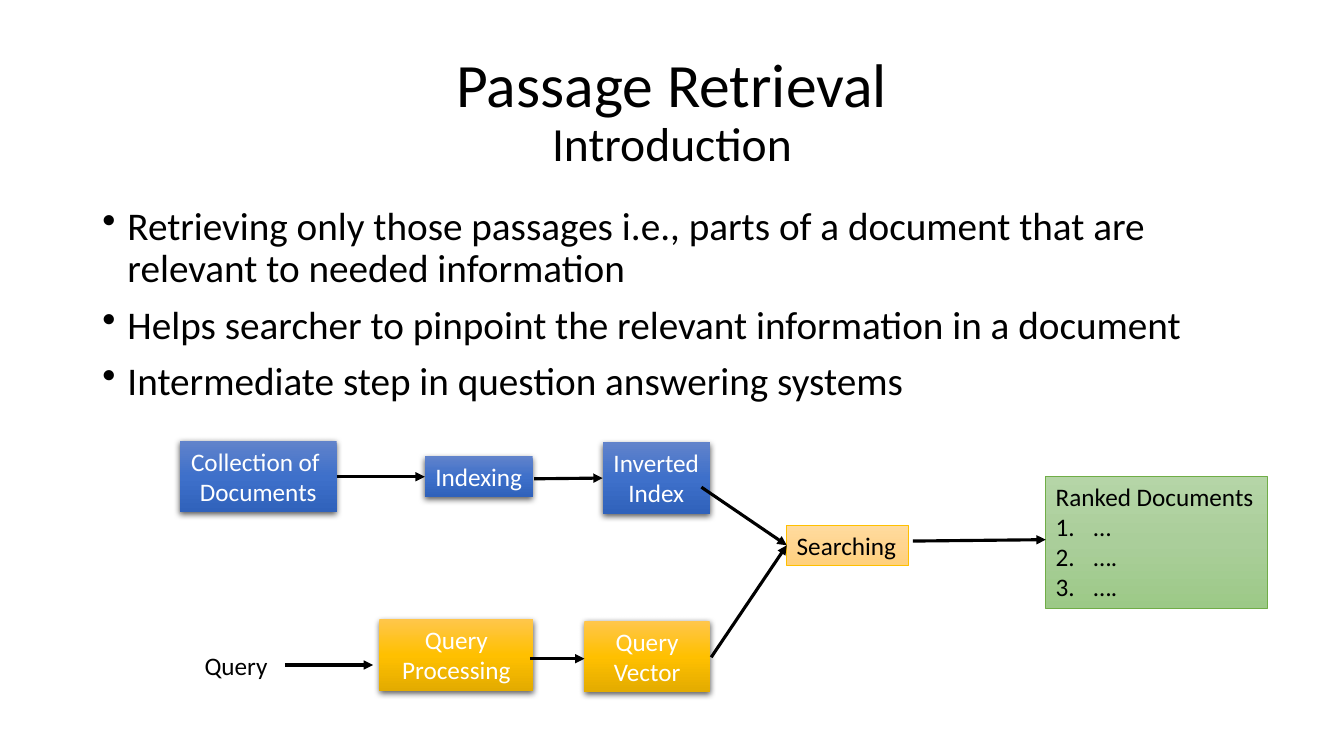
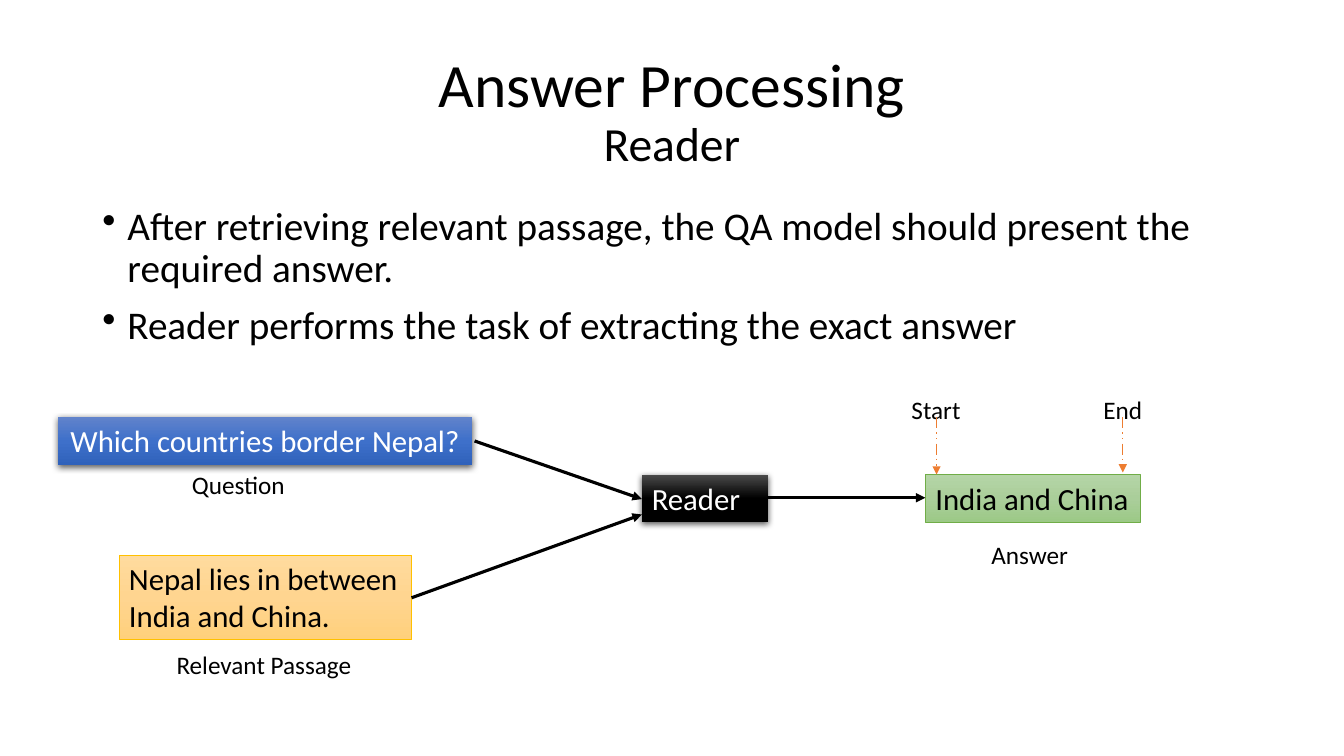
from copy import deepcopy
from lxml import etree
from pptx import Presentation
from pptx.dml.color import RGBColor
from pptx.enum.dml import MSO_LINE
from pptx.enum.shapes import MSO_CONNECTOR, MSO_SHAPE
from pptx.enum.text import MSO_ANCHOR, MSO_AUTO_SIZE, PP_ALIGN
from pptx.oxml.ns import qn
from pptx.util import Pt

LEFT, CENTER = PP_ALIGN.LEFT, PP_ALIGN.CENTER
TOP, MIDDLE = MSO_ANCHOR.TOP, MSO_ANCHOR.MIDDLE
FIT, FIXED = MSO_AUTO_SIZE.SHAPE_TO_FIT_TEXT, MSO_AUTO_SIZE.NONE
RECT, STRAIGHT = MSO_SHAPE.RECTANGLE, MSO_CONNECTOR.STRAIGHT
DASH = MSO_LINE.DASH_DOT_DOT
FONT, BLACK, WHITE, ORANGE = "Calibri", "000000", "FFFFFF", "ED7D31"

# Box styles: gradient, outline (none means shadow), text colour, alignment, wrap
STYLES = {
    "blue": (("6183CB", "3E70CA", "3062BB"), None, WHITE, CENTER, False),
    "gold": (("FFC64B", "FFC000", "E3AB00"), None, WHITE, CENTER, True),
    "black": (("4B4B4B", BLACK, BLACK), None, WHITE, LEFT, True),
    "sand": (("FFDB9E", "FFD590", "FFD07C"), "FFC000", BLACK, LEFT, False),
    "green": (("B5D5A7", "AACE9A", "9CC987"), "70AD47", BLACK, LEFT, False),
    "label": (None, None, BLACK, LEFT, False),
    "body": (None, None, BLACK, LEFT, True),
}
# Arrow styles: colour, width, dash
ARROWS = {"flow": (BLACK, 2.25, None), "mark": (ORANGE, 1, DASH)}

# Boxes: style, left, top, width, height, size, lines
# Arrows: style, start x, start y, end x, end y
SLIDES = [
    {
        "title": "Passage Retrieval\vIntroduction",
        "body": ["Retrieving only those passages i.e., parts of a document that are "
                 "relevant to needed information",
                 "Helps searcher to pinpoint the relevant information in a document",
                 "Intermediate step in question answering systems"],
        "boxes": [
            ("blue", 128.5, 315, 112, 51, 18, ["Collection of ", "Documents"]),
            ("blue", 303.5, 326, 77, 29, 18, ["Indexing"]),
            ("blue", 430.5, 316, 76.5, 51, 18, ["Inverted", "Index"]),
            ("sand", 562, 375, 87, 29, 18, ["Searching"]),
            ("gold", 271, 442.5, 110, 51, 18, ["Query", "Processing"]),
            ("gold", 417.5, 443.5, 89.5, 51, 18, ["Query", "Vector"]),
            ("green", 747, 340, 158, 94.5, 18,
             ["Ranked Documents", "…", "….", "…."]),
            ("label", 139, 461, 60, 29, 18, ["Query"]),
        ],
        "arrows": [
            ("flow", 240.5, 340.5, 303.5, 340.5),
            ("flow", 381.5, 342, 430.5, 341.5),
            ("flow", 501, 348, 562, 389.5),
            ("flow", 508, 469.5, 562, 389.5),
            ("flow", 652, 386.5, 747, 385.5),
            ("flow", 203.5, 475, 266.5, 475),
            ("flow", 378.5, 470.5, 417.5, 470.5),
        ],
    },
    {
        "title": "Answer Processing\vReader",
        "body": ["After retrieving relevant passage, the QA model should present "
                 "the required answer.",
                 "Reader performs the task of extracting the exact answer"],
        "boxes": [
            ("blue", 41.5, 298, 295.5, 34, 22, ["Which countries border Nepal?"]),
            ("sand", 85, 396.5, 209, 60.5, 22,
             ["Nepal lies in between", "India and China."]),
            ("black", 458.5, 339, 90, 34, 22, ["Reader"]),
            ("green", 661, 339, 153.5, 34, 22, ["India and China"]),
            ("label", 119, 460, 140, 29, 18, ["Relevant Passage"]),
            ("label", 130, 332, 82, 29, 18, ["Question"]),
            ("label", 701, 382, 70, 29, 18, ["Answer"]),
            ("label", 644, 278, 50, 29, 18, ["Start"]),
            ("label", 781, 278, 42.5, 29, 18, ["End"]),
        ],
        "arrows": [
            ("flow", 294, 427, 458.5, 367.5),
            ("flow", 339, 315, 458.5, 356.5),
            ("flow", 548, 355.5, 661, 355.5),
            ("mark", 669, 298, 669, 339),
            ("mark", 802, 298, 802, 337.5),
        ],
    },
]


def paint(text):
    return RGBColor.from_string(text)


def style(item, values):
    for name, value in values.items():
        setattr(item, name, value)


deck = Presentation()
style(deck, {"slide_width": Pt(960), "slide_height": Pt(540)})

for data in SLIDES:
    slide = deck.slides.add_slide(deck.slide_layouts[5])

    # Title with a smaller second line
    title = slide.shapes.title
    style(title, {"left": Pt(66), "top": Pt(28.75), "width": Pt(828), "height": Pt(104.4)})
    frame = title.text_frame
    frame.text = data["title"]
    style(frame, {"vertical_anchor": MIDDLE, "auto_size": FIXED, "word_wrap": True})
    style(frame.paragraphs[0], {"alignment": CENTER, "line_spacing": 0.9})
    for run, size in zip(frame.paragraphs[0].runs, (44, 34)):
        style(run.font, {"size": Pt(size), "name": FONT})
        run.font.color.rgb = paint(BLACK)

    # Bulleted body, boxes and labels
    body = ("body", 66, 144, 828, 343, 28, data["body"])
    for kind, left, top, width, height, size, lines in [body] + data["boxes"]:
        grad, edge, ink, align, wrap = STYLES[kind]
        place = [Pt(n) for n in (left, top, width, height)]
        if grad:
            box = slide.shapes.add_shape(RECT, *place)
            box.shadow.inherit = False
            box.fill.gradient()
            props = box._element.spPr
            stops = props.find(".//" + qn("a:gsLst"))
            stops.insert(1, deepcopy(stops[0]))
            box.fill.gradient_angle = 270
            for stop, spot, tone in zip(box.fill.gradient_stops, (0, 0.5, 1), grad):
                stop.position = spot
                stop.color.rgb = paint(tone)
            if edge:
                box.line.color.rgb = paint(edge)
                box.line.width = Pt(0.5)
            else:
                box.line.fill.background()
                shade = etree.SubElement(
                    props.find(qn("a:effectLst")), qn("a:outerShdw"),
                    blurRad=str(Pt(4.5)), dist=str(Pt(1.5)), dir="5400000",
                    algn="ctr", rotWithShape="0")
                tint = etree.SubElement(shade, qn("a:srgbClr"), val=BLACK)
                etree.SubElement(tint, qn("a:alpha"), val="63000")
        else:
            box = slide.shapes.add_textbox(*place)

        frame = box.text_frame
        frame.text = "\n".join(lines)
        style(frame, {"word_wrap": wrap, "vertical_anchor": TOP,
                      "auto_size": FIXED if kind == "body" else FIT})
        for row, para in enumerate(frame.paragraphs):
            para.alignment = align
            font = para.runs[0].font
            style(font, {"size": Pt(size), "name": FONT})
            font.color.rgb = paint(ink)
            mark = None
            if kind == "body":
                style(para, {"line_spacing": 0.9, "space_before": Pt(10)})
                mark, indent = ("a:buChar", {"char": "•"}), Pt(18)
            elif len(lines) > 2 and row:
                mark, indent = ("a:buAutoNum", {"type": "arabicPeriod"}), Pt(27)
            if mark:
                rules = para._p.get_or_add_pPr()
                rules.set("marL", str(indent))
                rules.set("indent", str(-indent))
                etree.SubElement(rules, qn(mark[0]), mark[1])

    # Arrows
    for kind, *ends in data["arrows"]:
        tone, width, dash = ARROWS[kind]
        arrow = slide.shapes.add_connector(STRAIGHT, *[Pt(n) for n in ends])
        arrow.line.color.rgb = paint(tone)
        style(arrow.line, {"width": Pt(width), "dash_style": dash})
        props = arrow._element.spPr
        etree.SubElement(props.find(qn("a:ln")), qn("a:tailEnd"), type="triangle")
        etree.SubElement(props, qn("a:effectLst"))

deck.save("out.pptx")
